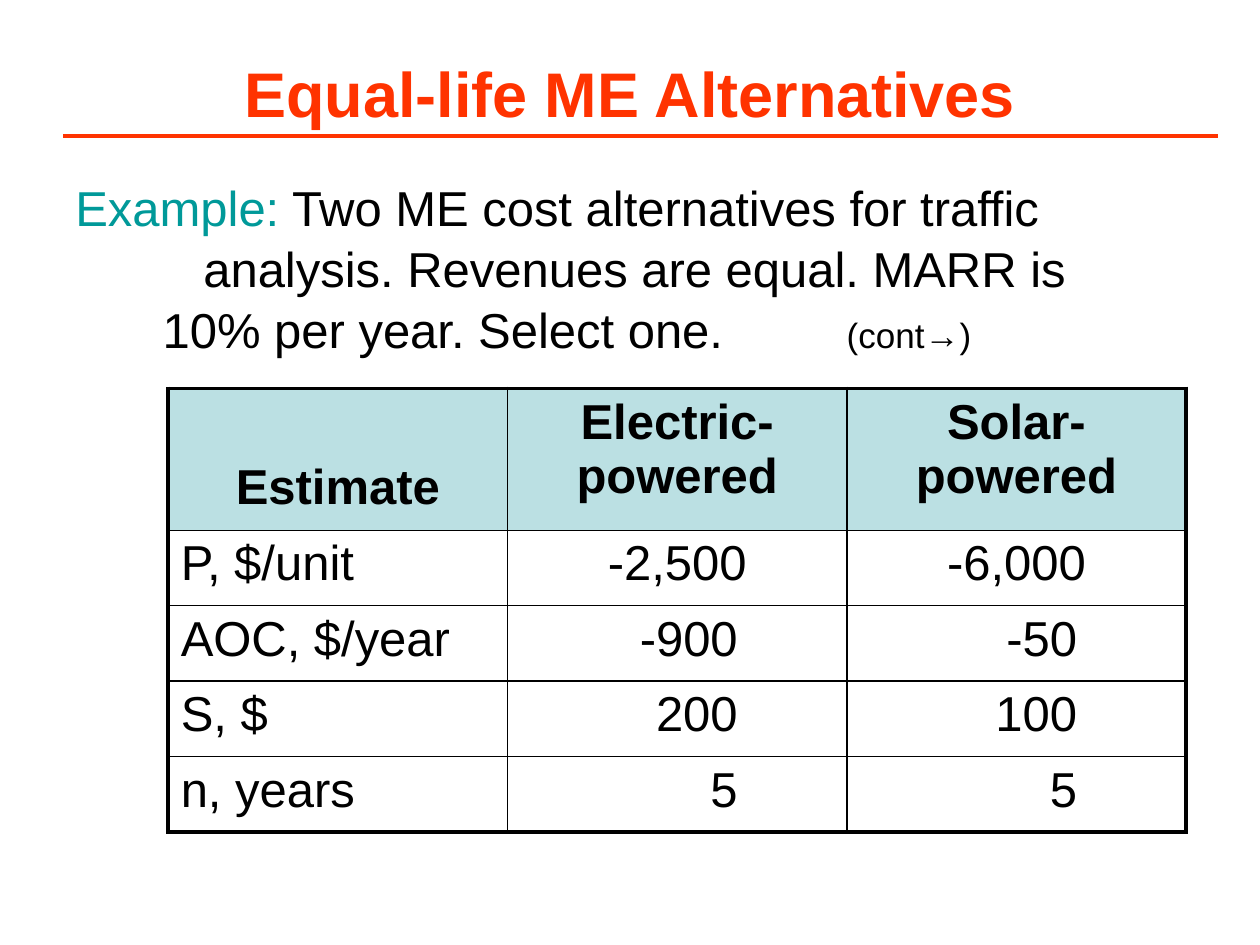
from pptx import Presentation
from pptx.util import Cm, Pt
from pptx.dml.color import RGBColor as RGB
from pptx.enum.shapes import MSO_CONNECTOR as Link
from pptx.enum.text import PP_ALIGN as Align, MSO_ANCHOR as Anchor
from pptx.oxml.ns import qn
from lxml.etree import SubElement as Sub

RED, TEAL, BLACK, PALE = "FF3300", "009999", "000000", "BBE0E3"
TITLE = "Equal-life ME Alternatives"
INTRO = [
    ("Example:", TEAL, 28),
    (" Two ME cost alternatives for traffic\v\t\tanalysis. "
     "Revenues are equal. MARR is\v\t10% per year. Select one.\t", BLACK, 28),
    ("(cont→)", BLACK, 20),
]
STOPS = [1.76, 2.58, 15.55]
ROWS = [
    ("Estimate", "Electric-powered", "Solar-powered"),
    ("P, $/unit", "-2,500", "-6,000"),
    ("AOC, $/year", "-900", "-50"),
    ("S, $", "200", "100"),
    ("n, years", "5", "5"),
]
WIDE, HEAD, HIGH = 6.84, 2.86, 1.52


def style(font, size, color, bold=False):
    font.name = "Arial"
    font.size = Pt(size)
    font.bold = bold
    font.color.rgb = RGB.from_string(color)


def edge(cell, side, width):
    line = Sub(cell._tc.get_or_add_tcPr(), qn("a:" + side), w=str(Pt(width)))
    Sub(Sub(line, qn("a:solidFill")), qn("a:srgbClr"), val=BLACK)


def add_title(slide):
    title = slide.shapes.title
    title.left, title.top = Cm(1.27), Cm(0.76)
    title.width, title.height = Cm(22.86), Cm(2.21)
    frame = title.text_frame
    frame.text = TITLE
    frame.vertical_anchor = Anchor.MIDDLE
    para = frame.paragraphs[0]
    para.alignment = Align.CENTER
    style(para.runs[0].font, 36, RED, True)
    rule = slide.shapes.add_connector(
        Link.STRAIGHT, Cm(1.27), Cm(2.74), Cm(24.56), Cm(2.74))
    rule.line.color.rgb = RGB.from_string(RED)
    rule.line.width = Pt(2.25)
    Sub(rule._element.spPr, qn("a:effectLst"))


def add_intro(slide):
    box = slide.shapes.add_textbox(Cm(1.27), Cm(3.4), Cm(22.43), Cm(4))
    frame = box.text_frame
    frame.word_wrap = True
    para = frame.paragraphs[0]
    para.line_spacing = 1.04
    tabs = Sub(para._p.get_or_add_pPr(), qn("a:tabLst"))
    for stop in STOPS:
        Sub(tabs, qn("a:tab"), pos=str(Cm(stop)), algn="l")
    for text, color, size in INTRO:
        for i, part in enumerate(text.split("\v")):
            if i:
                para.add_line_break()
            run = para.add_run()
            run.text = part
            style(run.font, size, color)


def add_grid(slide):
    count, cols = len(ROWS), len(ROWS[0])
    grid = slide.shapes.add_table(
        count, cols, Cm(3.39), Cm(7.83), Cm(WIDE * cols),
        Cm(HEAD + HIGH * (count - 1))).table
    for col in grid.columns:
        col.width = Cm(WIDE)
    for r, row in enumerate(ROWS):
        grid.rows[r].height = Cm(HIGH if r else HEAD)
        for c, text in enumerate(row):
            cell = grid.cell(r, c)
            cell.text = text
            para = cell.text_frame.paragraphs[0]
            style(para.runs[0].font, 28, BLACK, r == 0)
            if r == 0 or (r == 1 and c):
                para.alignment = Align.CENTER
            elif c:
                para.alignment = Align.RIGHT
                cell.margin_right = Cm(2.2)
            if r == c == 0:
                cell.vertical_anchor = Anchor.BOTTOM
                cell.margin_bottom = Cm(0.31)
            outer = {"lnL": c == 0, "lnR": c == cols - 1,
                     "lnT": r == 0, "lnB": r == count - 1}
            for side, thick in outer.items():
                edge(cell, side, 2.25 if thick else 1)
            if r:
                cell.fill.background()
            else:
                cell.fill.solid()
                cell.fill.fore_color.rgb = RGB.from_string(PALE)


def main():
    deck = Presentation()
    deck.slide_width, deck.slide_height = Cm(25.4), Cm(19.05)
    slide = deck.slides.add_slide(deck.slide_layouts[5])
    add_title(slide)
    add_intro(slide)
    add_grid(slide)
    deck.save("out.pptx")


if __name__ == "__main__":
    main()
